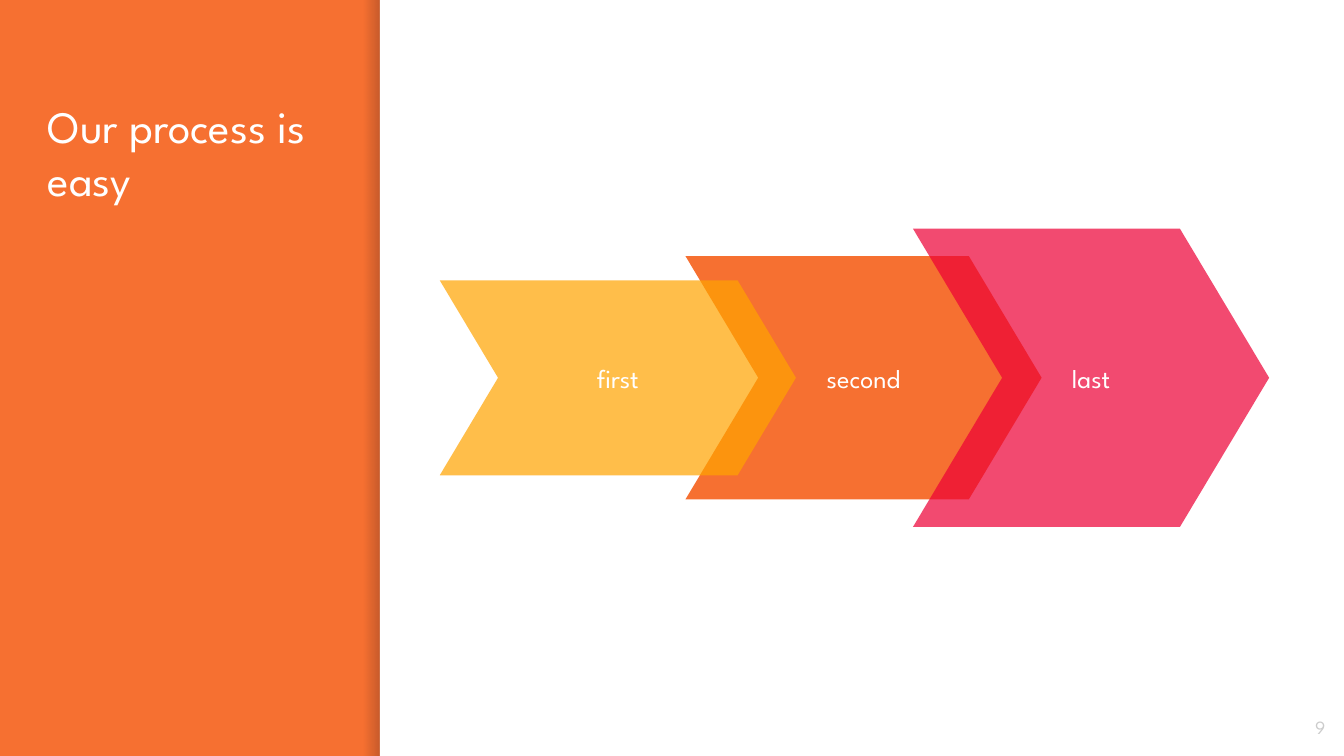
"""Build a process slide with three growing, overlapping chevrons."""
from pptx import Presentation
from pptx.dml.color import RGBColor
from pptx.enum.shapes import MSO_SHAPE
from pptx.enum.text import MSO_ANCHOR, MSO_AUTO_SIZE, PP_ALIGN
from pptx.oxml.ns import qn
from pptx.util import Pt

RECT, CHEVRON = MSO_SHAPE.RECTANGLE, MSO_SHAPE.CHEVRON
TOP, MIDDLE = MSO_ANCHOR.TOP, MSO_ANCHOR.MIDDLE
LEFT, CENTER, RIGHT = PP_ALIGN.LEFT, PP_ALIGN.CENTER, PP_ALIGN.RIGHT
NO_FIT = MSO_AUTO_SIZE.NONE

FONT = "League Spartan"
ORANGE = RGBColor(0xF6, 0x70, 0x31)
RED = RGBColor(0xED, 0x00, 0x36)
AMBER = RGBColor(0xFF, 0xA4, 0x00)
WHITE = RGBColor(0xFF, 0xFF, 0xFF)
GREY = RGBColor(0xCC, 0xCC, 0xCC)
SHADE = RGBColor(0x00, 0x00, 0x14)

W, H = 720, 405
SIDEBAR_W, SHADE_W = 203.5, 9
STEP_W, STEP_MID, STEP_POINT = 190.8, 202.4, 0.299

TITLE = "Our process is easy"
PAGE = "9"
STEPS = [
    ("second", 367.2, 130.4, ORANGE, 100),
    ("last", 489.1, 159.8, RED, 71),
    ("first", 235.6, 104.4, AMBER, 71),
]


def set_alpha(element, percent):
    for color in element.iter(qn("a:srgbClr")):
        alpha = color.makeelement(qn("a:alpha"), {"val": str(percent * 1000)})
        color.append(alpha)


def place(sp, x, y, w, h):
    sp.left, sp.top, sp.width, sp.height = Pt(x), Pt(y), Pt(w), Pt(h)


def add_shape(s, kind, x, y, w, h, color=None, alpha=100):
    sp = s.shapes.add_shape(kind, Pt(x), Pt(y), Pt(w), Pt(h))
    sp.shadow.inherit = False
    sp.line.fill.background()
    if color is not None:
        sp.fill.solid()
        sp.fill.fore_color.rgb = color
        if alpha < 100:
            set_alpha(sp.fill._xPr, alpha)
    return sp


def write(sp, text, size=14, color=WHITE, align=CENTER, anchor=MIDDLE):
    tf = sp.text_frame
    tf.word_wrap = True
    tf.auto_size = NO_FIT
    tf.vertical_anchor = anchor
    tf.margin_left = tf.margin_right = tf.margin_top = tf.margin_bottom = Pt(7.2)
    p = tf.paragraphs[0]
    p.alignment = align
    r = p.add_run()
    r.text = text
    r.font.name, r.font.size, r.font.color.rgb = FONT, Pt(size), color


def add_shade(s):
    sp = add_shape(s, RECT, SIDEBAR_W - SHADE_W, 0, SHADE_W, H)
    sp.fill.gradient()
    sp.fill.gradient_angle = 0
    for stop, alpha in zip(sp.fill.gradient_stops, (0, 20)):
        stop.color.rgb = SHADE
        set_alpha(stop._gs, alpha)


def main():
    prs = Presentation()
    prs.slide_width, prs.slide_height = Pt(W), Pt(H)
    s = prs.slides.add_slide(prs.slide_layouts[5])
    s.background.fill.solid()
    s.background.fill.fore_color.rgb = ORANGE

    add_shade(s)
    add_shape(s, RECT, SIDEBAR_W, 0, W - SIDEBAR_W, H, WHITE)

    title = s.shapes.title
    place(title, 18.4, 45.4, 161.3, 313)
    write(title, TITLE, size=24, align=LEFT, anchor=TOP)

    for label, x, h, color, alpha in STEPS:
        sp = add_shape(s, CHEVRON, x, STEP_MID - h / 2, STEP_W, h, color, alpha)
        sp.adjustments[0] = STEP_POINT
        write(sp, label)

    page = s.shapes.add_textbox(Pt(673.9), Pt(374), Pt(43.2), Pt(31))
    write(page, PAGE, size=10, color=GREY, align=RIGHT)

    prs.save("out.pptx")


if __name__ == "__main__":
    main()
